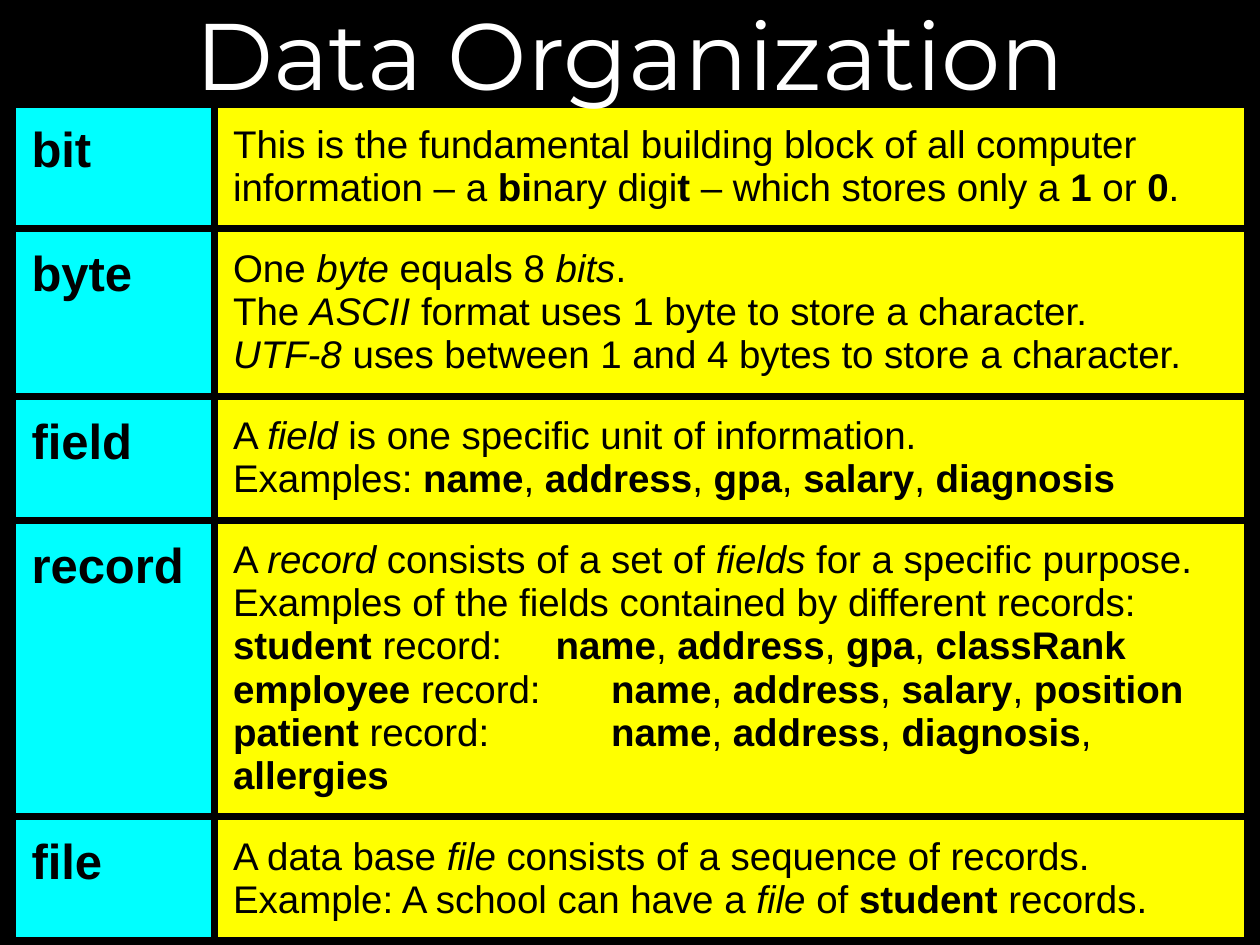
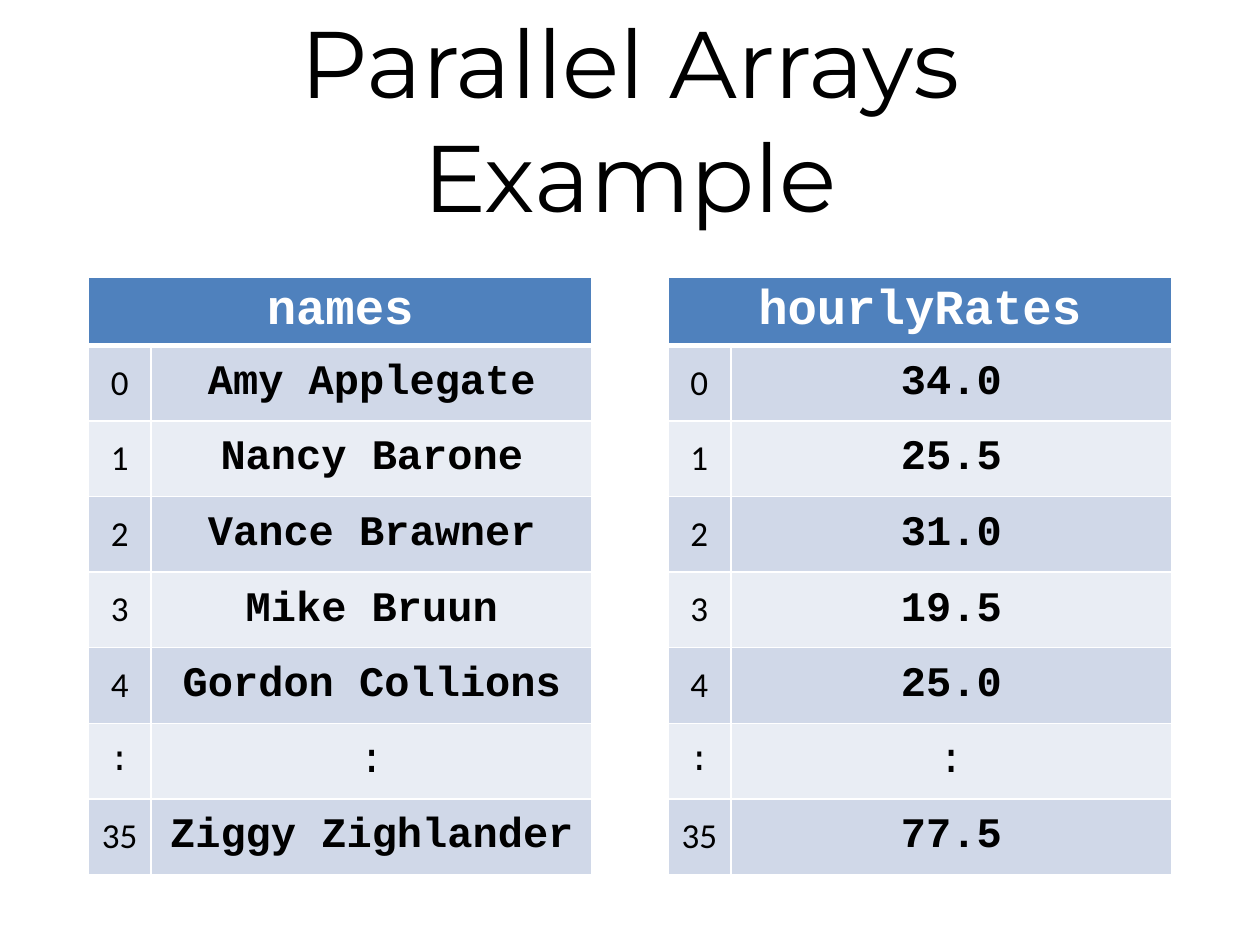
from dataclasses import dataclass
from typing import NamedTuple

from lxml.etree import SubElement as Sub
from pptx import Presentation
from pptx.dml.color import RGBColor as RGB
from pptx.enum.text import MSO_ANCHOR as Anchor, MSO_AUTO_SIZE as Fit, PP_ALIGN as Align
from pptx.oxml.ns import qn
from pptx.util import Inches, Pt


@dataclass(frozen=True)
class Theme:
    black: str = "000000"
    white: str = "FFFFFF"
    term: str = "00FFFF"
    note: str = "FFFF00"
    head: str = "4F81BD"
    bands: tuple[str, str] = ("D0D8E8", "E9EDF4")
    display: str = "Montserrat"
    sans: str = "Arial"
    plain: str = "Calibri"
    mono: str = "Courier New"
    title: int = 54
    label: int = 28
    value: int = 24
    text: int = 22
    index: int = 20


THEME = Theme()


class Style(NamedTuple):
    font: str
    size: int
    color: str = THEME.black
    bold: bool = False


class Line(NamedTuple):
    text: str  # *bold* and _italic_ marks
    tab: float = 0


class Term(NamedTuple):
    name: str
    high: float
    lines: list[Line]
    align: Align = Align.JUSTIFY


class Series(NamedTuple):
    name: str
    left: float
    items: list[str]


TERMS = [
    Term("bit", 0.98, [
        Line("This is the fundamental building block of all computer information"
             " – a *bi*nary digi*t* – which stores only a *1* or *0*."),
    ], Align.LEFT),
    Term("byte", 1.33, [
        Line("One _byte_ equals 8 _bits_."),
        Line("The _ASCII_ format uses 1 byte to store a character."),
        Line("_UTF-8_ uses between 1 and 4 bytes to store a character."),
    ]),
    Term("field", 0.98, [
        Line("A _field_ is one specific unit of information."),
        Line("Examples: *name*, *address*, *gpa*, *salary*, *diagnosis*"),
    ]),
    Term("record", 2.35, [
        Line("A _record_ consists of a set of _fields_ for a specific purpose."),
        Line("Examples of the fields contained by different records:"),
        Line("*student* record: \t*name*, *address*, *gpa*, *classRank*", 2.56),
        Line("*employee* record: \t*name*, *address*, *salary*, *position*", 3),
        Line("*patient* record: \t*name*, *address*, *diagnosis*, *allergies*", 3),
    ], Align.LEFT),
    Term("file", 0.98, [
        Line("A data base _file_ consists of a sequence of records."),
        Line("Example: A school can have a _file_ of *student* records."),
    ]),
]

INDEX = ["0", "1", "2", "3", "4", ":", "35"]
ARRAYS = [
    Series("names", 0.7, ["Amy Applegate", "Nancy Barone", "Vance Brawner",
                          "Mike Bruun", "Gordon Collions", ":", "Ziggy Zighlander"]),
    Series("hourlyRates", 5.3, ["34.0", "25.5", "31.0", "19.5", "25.0", ":", "77.5"]),
]


def format_run(run, style: Style) -> None:
    font = run.font
    font.name, font.size, font.bold = style.font, Pt(style.size), style.bold
    font.color.rgb = RGB.from_string(style.color)


def put_text(cell, text: str, style: Style, align: Align) -> None:
    cell.text_frame.text = text
    para = cell.text_frame.paragraphs[0]
    para.alignment = align
    format_run(para.runs[0], style)


def put_rich(para, line: Line, style: Style) -> None:
    """Add runs, switching weight or slant at each mark."""
    if line.tab:
        tabs = Sub(para._p.get_or_add_pPr(), qn("a:tabLst"))
        Sub(tabs, qn("a:tab"), pos=str(Inches(line.tab)), algn="l")
    bold = slant = False
    for i, part in enumerate(line.text.replace("_", "*_*").split("*")):
        if part == "_":
            slant = not slant
        elif part:
            run = para.add_run()
            run.text = part
            format_run(run, style._replace(bold=bold))
            run.font.italic = slant
        # A star that borders an underscore belongs to the slant mark
        bold = not bold and not slant and part != "_" and is_star(line.text, i)


def is_star(text: str, index: int) -> bool:
    """Tell whether the split after this part is a real bold mark."""
    marks = "".join("uu" if c == "_" else "b" for c in text if c in "*_")
    return index < len(marks) and marks[index] == "b"


def paint(cell, fill: str, edge: str, wide: float, top: float = 0, base: float = 0) -> None:
    props = cell._tc.get_or_add_tcPr()
    sides = {"lnL": wide, "lnR": wide, "lnT": top or wide, "lnB": base or wide}
    for side, width in sides.items():
        line = Sub(props, qn(f"a:{side}"), w=str(Pt(width)))
        Sub(Sub(line, qn("a:solidFill")), qn("a:srgbClr"), val=edge)
    cell.fill.solid()
    cell.fill.fore_color.rgb = RGB.from_string(fill)


def add_grid(slide, left: float, top: float, cols: list[float], rows: list[float]):
    frame = slide.shapes.add_table(len(rows), len(cols), Inches(left), Inches(top),
                                   Inches(sum(cols)), Inches(sum(rows)))
    grid = frame.table
    grid.first_row = grid.horz_banding = False
    for col, wide in zip(grid.columns, cols):
        col.width = Inches(wide)
    for row, high in zip(grid.rows, rows):
        row.height = Inches(high)
    return grid


def add_slide(deck, text: str, high: float, back: str, ink: str):
    slide = deck.slides.add_slide(deck.slide_layouts[5])
    slide.background.fill.solid()
    slide.background.fill.fore_color.rgb = RGB.from_string(back)
    title = slide.shapes.title
    title.left, title.top = Inches(0), Inches(0)
    title.width, title.height = deck.slide_width, Inches(high)
    frame = title.text_frame
    frame.auto_size, frame.vertical_anchor = Fit.NONE, Anchor.MIDDLE
    put_text(title, text, Style(THEME.display, THEME.title, ink), Align.CENTER)
    for run in frame.paragraphs[0].runs:
        format_run(run, Style(THEME.display, THEME.title, ink))
    return slide


def add_terms(deck) -> None:
    slide = add_slide(deck, "Data Organization", 0.83, THEME.black, THEME.white)
    grid = add_grid(slide, 0.1, 0.83, [1.6, 8.2], [term.high for term in TERMS])
    for row, term in enumerate(TERMS):
        name, note = grid.cell(row, 0), grid.cell(row, 1)
        for cell, fill in ((name, THEME.term), (note, THEME.note)):
            paint(cell, fill, THEME.black, 4.5)
            cell.margin_left = cell.margin_right = Inches(0.15)
            cell.margin_top = cell.margin_bottom = Inches(0.15)
        put_text(name, term.name, Style(THEME.sans, THEME.label, bold=True), Align.JUSTIFY)
        frame = note.text_frame
        for i, line in enumerate(term.lines):
            para = frame.add_paragraph() if i else frame.paragraphs[0]
            para.alignment = term.align
            put_rich(para, line, Style(THEME.sans, THEME.text))
    # The title's descender lies over the table
    title = slide.shapes.title.element
    title.getparent().append(title)


def add_array(slide, series: Series) -> None:
    grid = add_grid(slide, series.left, 2.2, [0.5, 3.5], [0.54] + [0.6] * len(INDEX))
    # Header
    for col in range(2):
        paint(grid.cell(0, col), THEME.head, THEME.white, 1, base=3)
    head = grid.cell(0, 0)
    head.merge(grid.cell(0, 1))
    head.vertical_anchor = Anchor.MIDDLE
    put_text(head, series.name, Style(THEME.mono, THEME.label, THEME.white, True), Align.CENTER)
    # Banded rows
    for row, pair in enumerate(zip(INDEX, series.items), 1):
        gap = pair[0] == ":"
        styles = (Style(THEME.mono if gap else THEME.plain, THEME.index),
                  Style(THEME.mono, THEME.value, bold=not gap))
        for col, (text, style) in enumerate(zip(pair, styles)):
            cell = grid.cell(row, col)
            paint(cell, THEME.bands[(row - 1) % 2], THEME.white, 1, top=3 if row == 1 else 0)
            cell.vertical_anchor = Anchor.MIDDLE
            put_text(cell, text, style, Align.CENTER)


def main() -> None:
    deck = Presentation()
    deck.slide_width, deck.slide_height = Inches(10), Inches(7.5)
    add_terms(deck)
    slide = add_slide(deck, "Parallel Arrays\vExample", 1.87, THEME.white, THEME.black)
    for series in ARRAYS:
        add_array(slide, series)
    deck.save("out.pptx")


if __name__ == "__main__":
    main()
